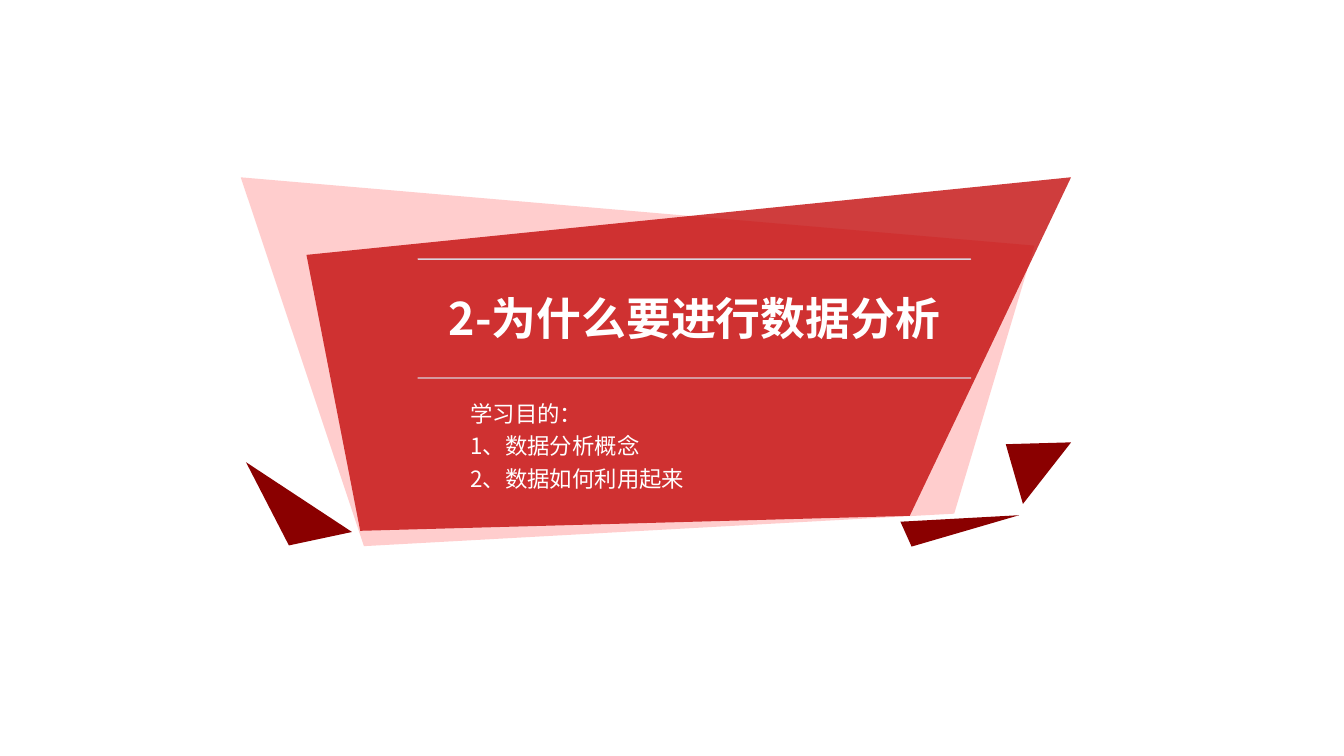
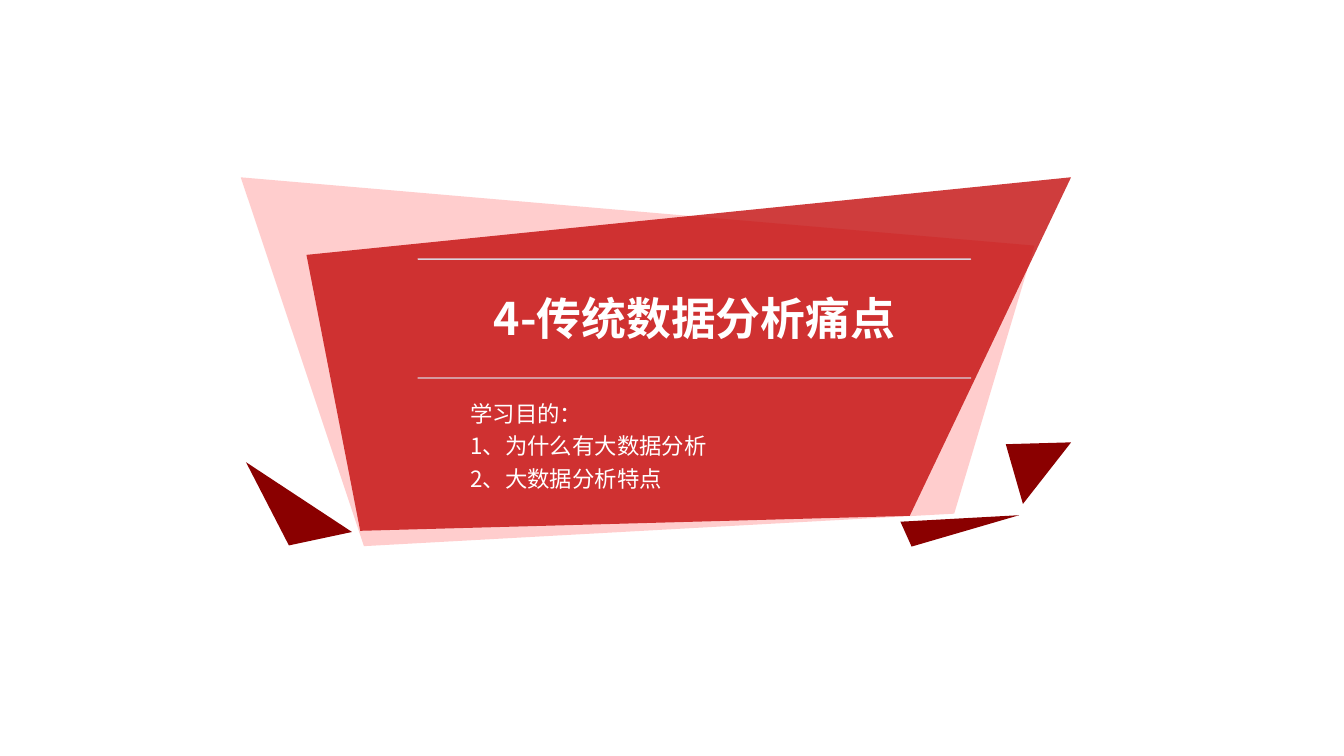
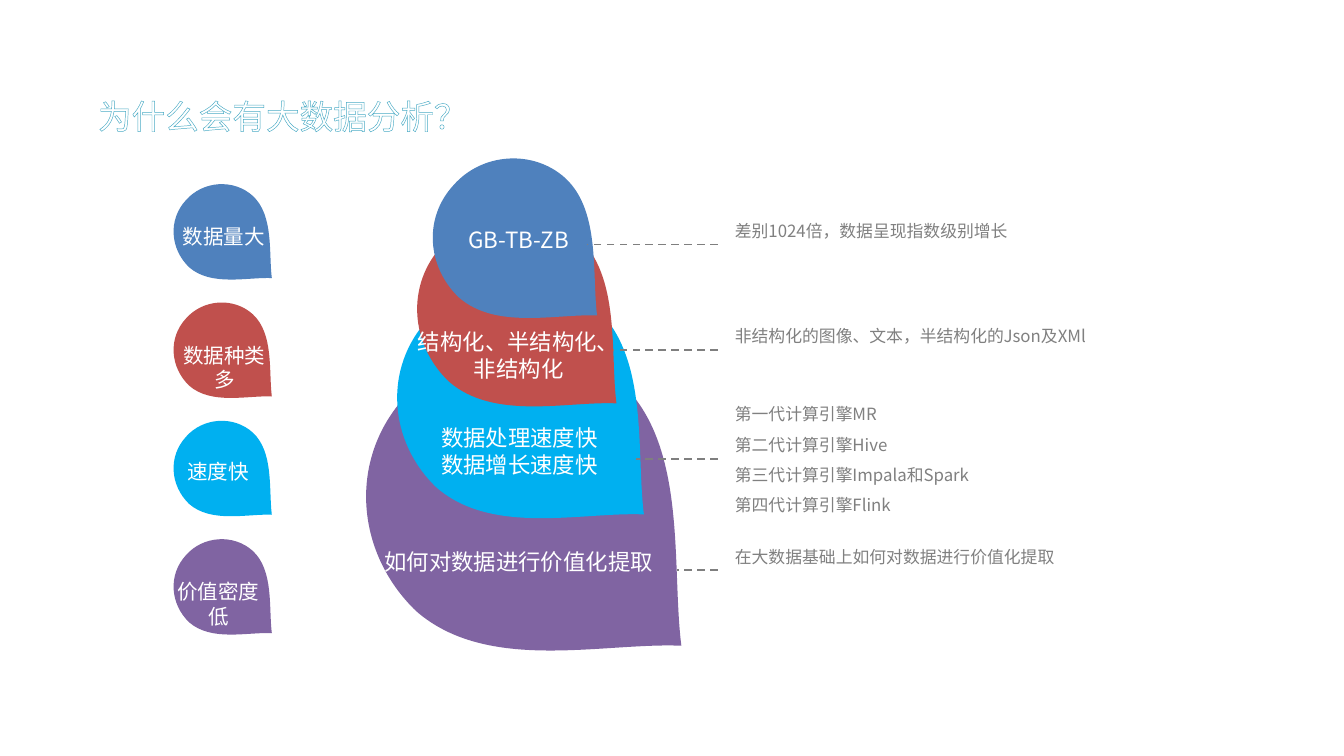
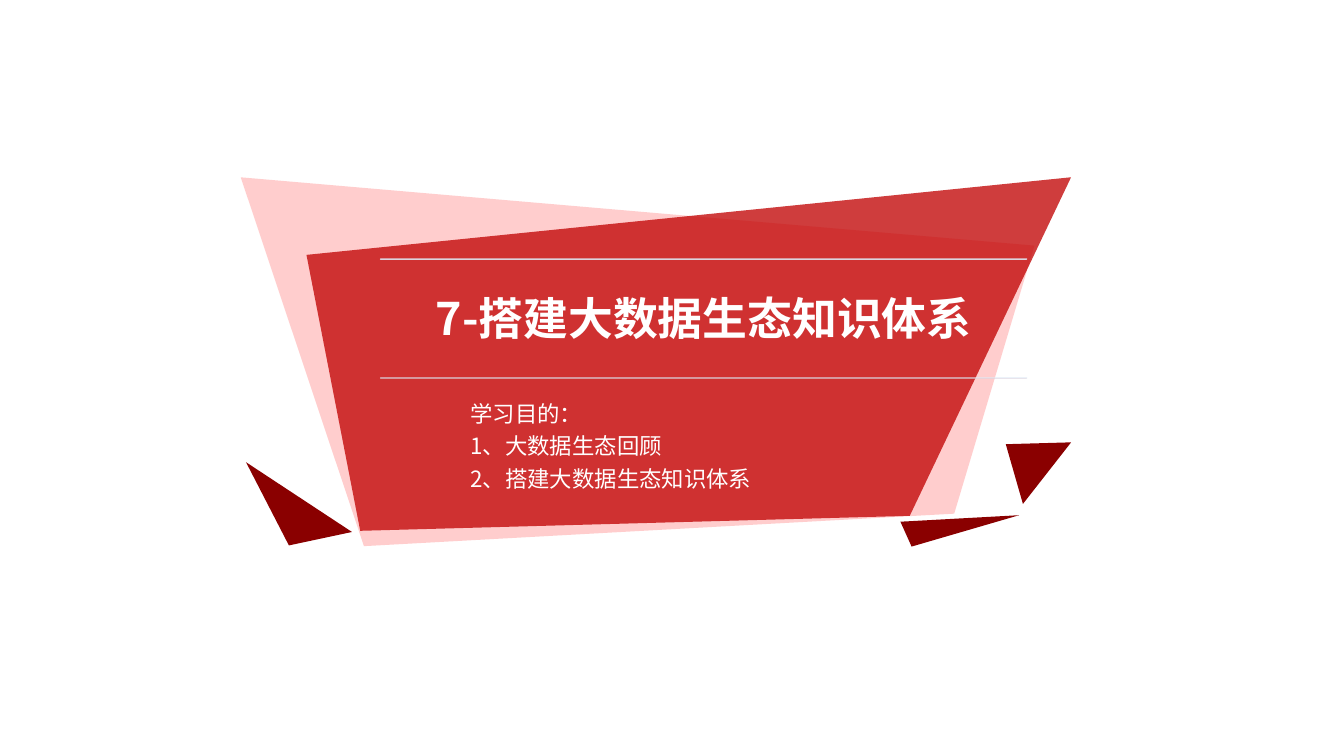
"""Build four slides on data analysis: three section covers and a diagram of big data traits."""
from dataclasses import dataclass

from lxml.etree import SubElement
from pptx import Presentation
from pptx.dml.color import RGBColor
from pptx.enum.dml import MSO_LINE
from pptx.enum.shapes import MSO_CONNECTOR
from pptx.enum.text import MSO_ANCHOR, MSO_AUTO_SIZE, PP_ALIGN
from pptx.oxml.ns import qn
from pptx.util import Pt


@dataclass(frozen=True)
class Theme:
    font: str = "Noto Sans CJK SC"
    title_font: str = "Calibri"
    white: str = "FFFFFF"
    shard: str = "8A0000"
    pink: str = "FFBEBE"
    red: str = "C00000"
    frame: str = "B80000"
    rule: str = "DEEBF7"
    outline: str = "4BACC6"
    note: str = "808080"
    dash: str = "7F7F7F"
    blue: str = "4F81BD"
    brick: str = "C0504D"
    cyan: str = "00B0F0"
    purple: str = "8064A2"
    section_size: float = 24
    title_size: float = 18
    body_size: float = 12
    badge_size: float = 11
    note_size: float = 9


theme = Theme()


def write(text, frame, size=theme.body_size, color=theme.white, font=theme.font,
          bold=False, align=PP_ALIGN.LEFT, spacing=1.0, wrap=True, grow=True):
    frame.word_wrap = wrap
    frame.auto_size = MSO_AUTO_SIZE.SHAPE_TO_FIT_TEXT if grow else MSO_AUTO_SIZE.NONE
    for index, line in enumerate(text.split("\n")):
        para = frame.add_paragraph() if index else frame.paragraphs[0]
        para.alignment = align
        para.line_spacing = spacing
        span = para.add_run()
        span.text = line
        span.font.size = Pt(size)
        span.font.bold = bold
        span.font.color.rgb = RGBColor.from_string(color)
        span.font.name = font
        SubElement(span.font._element, qn("a:ea"), typeface=theme.font)
    return span


def draw(page, *contours, color, opacity=100):
    paths = [[(Pt(x), Pt(y)) for x, y in contour] for contour in contours]
    builder = page.shapes.build_freeform(*paths[0][0])
    for index, path in enumerate(paths):
        if index:
            builder.move_to(*path[0])
        builder.add_line_segments(path[1:], close=True)
    shape = builder.convert_to_shape()
    shape.shadow.inherit = False
    shape.fill.solid()
    shape.fill.fore_color.rgb = RGBColor.from_string(color)
    if opacity < 100:
        tint = next(shape._element.iter(qn("a:srgbClr")))
        SubElement(tint, qn("a:alpha"), val=str(opacity * 1000))
    shape.line.fill.background()
    return shape


deck = Presentation()
deck.slide_width, deck.slide_height = Pt(720), Pt(405)
pages = [deck.slides.add_slide(deck.slide_layouts[6]) for _ in range(4)]

banner = [
    (theme.shard, 100, [(131.8, 247.6), (154.8, 292.2), (188.6, 285)]),
    (theme.pink, 76, [(129, 95), (554.2, 131.6), (511.2, 275.2), (195, 292.6)]),
    (theme.red, 76, [(164.2, 136.6), (573.8, 95), (487.4, 276.4), (193, 284.4)]),
    (theme.shard, 100, [(538.8, 238), (573.8, 237), (548, 270)]),
    (theme.shard, 100, [(482.4, 279.5), (546, 276), (488.4, 292.8)]),
]
sections = [
    (pages[0], "2-为什么要进行数据分析", 224, 520,
     "学习目的：\n1、数据分析概念\n2、数据如何利用起来"),
    (pages[1], "4-传统数据分析痛点", 224, 520,
     "学习目的：\n1、为什么有大数据分析\n2、大数据分析特点"),
    (pages[3], "7-搭建大数据生态知识体系", 203.8, 550,
     "学习目的：\n1、大数据生态回顾\n2、搭建大数据生态知识体系"),
]
rule_top, rule_bottom = 138.8, 202.5

for page, title, left, right, goals in sections:
    for color, opacity, corners in banner:
        draw(page, corners, color=color, opacity=opacity)

    rules = [[(left, y), (right, y)] for y in (rule_bottom, rule_top)]
    heading = draw(page, *rules, color=theme.frame)
    heading.line.color.rgb = RGBColor.from_string(theme.rule)
    heading.line.width = Pt(0.75)
    rule_color = next(heading.line._ln.iter(qn("a:srgbClr")))
    SubElement(rule_color, qn("a:alpha"), val="87000")
    frame = heading.text_frame
    frame.vertical_anchor = MSO_ANCHOR.MIDDLE
    frame.margin_left = frame.margin_right = 0
    frame.margin_top, frame.margin_bottom = Pt(5.6), Pt(2.8)
    write(title, frame, size=theme.section_size, bold=True,
          align=PP_ALIGN.CENTER, spacing=0.9, grow=False)

    box = page.shapes.add_textbox(Pt(252), Pt(208), Pt(201.6), Pt(54.8))
    box.text_frame.margin_left = 0
    write(goals, box.text_frame, spacing=1.2, grow=False)

page = pages[2]
box = page.shapes.add_textbox(Pt(45.4), Pt(47.6), Pt(580.4), Pt(29))
span = write("为什么会有大数据分析？", box.text_frame,
             size=theme.title_size, font=theme.title_font)
outline = SubElement(span.font._element, qn("a:ln"), w=str(Pt(0.8)))
outline_fill = SubElement(outline, qn("a:solidFill"))
SubElement(outline_fill, qn("a:srgbClr"), val=theme.outline)
span.font._element.insert(0, outline)

drop_controls = [
    (0.17, 0.2), (0, 0.38), (0.02, 0.65), (0.2, 0.82), (0.41, 1), (0.75, 0.91), (0.98, 0.92),
    (0.95, 0.69), (1, 0.34), (0.8, 0.16), (0.62, 0), (0.33, 0.02), (0.17, 0.2),
]
stack_drops = [
    (theme.purple, 186.5, 175, 182.2),
    (theme.cyan, 205.2, 141.8, 142.6),
    (theme.brick, 217.4, 108, 115.2),
    (theme.blue, 226.8, 79.9, 95),
]
badge_colors = [theme.blue, theme.brick, theme.cyan, theme.purple]
badge_drops = [(color, 90, 95.7 + 63.4 * row, 56.8) for row, color in enumerate(badge_colors)]

for color, left, top, width in stack_drops + badge_drops:
    height = width * 1.02
    drop = draw(page, [(left + x * width, top + y * height) for x, y in drop_controls], color=color)
    segments = list(drop._element.iter(qn("a:lnTo")))
    for first in range(0, len(segments), 3):
        curve = SubElement(segments[first].getparent(), qn("a:cubicBezTo"))
        segments[first].addprevious(curve)
        for segment in segments[first:first + 3]:
            curve.append(segment[0])
            segment.getparent().remove(segment)

stack_labels = [
    ("GB-TB-ZB", 242.6, 117.4, 70.6, 21.6),
    ("结构化、半结构化、\n非结构化", 216.7, 172.1, 122.4, 36),
    ("数据处理速度快\n数据增长速度快", 229, 223.9, 98.6, 36),
    ("如何对数据进行价值化提取", 198.7, 290.2, 158.4, 21.6),
]
for text, *place in stack_labels:
    box = page.shapes.add_textbox(*map(Pt, place))
    write(text, box.text_frame, align=PP_ALIGN.CENTER, wrap=False)

notes = [
    ("差别1024倍，数据呈现指数级别增长", 109.4, 23.8, 314.6, 131),
    ("非结构化的图像、文本，半结构化的Json及XMl", 165.6, 23.8, 328.3, 187.4),
    ("第一代计算引擎MR\n第二代计算引擎Hive\n第三代计算引擎Impala和Spark\n第四代计算引擎Flink",
     207.4, 72.7, 340.6, 246),
    ("在大数据基础上如何对数据进行价值化提取", 283.7, 23.8, 362.9, 305.3),
]
for text, top, height, line_end, line_y in notes:
    box = page.shapes.add_textbox(Pt(386.6), Pt(top), Pt(243.4), Pt(height))
    write(text, box.text_frame, size=theme.note_size, color=theme.note,
          align=PP_ALIGN.JUSTIFY, spacing=1.5)
    leader = page.shapes.add_connector(
        MSO_CONNECTOR.STRAIGHT, Pt(384.5), Pt(line_y), Pt(line_end), Pt(line_y))
    leader.line.color.rgb = RGBColor.from_string(theme.dash)
    leader.line.width = Pt(1)
    leader.line.dash_style = MSO_LINE.DASH
    SubElement(leader._element.spPr, qn("a:effectLst"))

badge_labels = [
    ("数据量大", 90.7, 116.6, 58.3, 20.2),
    ("数据种类多", 87.8, 180, 64.8, 33.8),
    ("速度快", 87.8, 242.6, 58.3, 20.2),
    ("价值密度低", 87.8, 306.7, 58.3, 33.8),
]
for text, *place in badge_labels:
    box = page.shapes.add_textbox(*map(Pt, place))
    write(text, box.text_frame, size=theme.badge_size, align=PP_ALIGN.CENTER)

deck.save("out.pptx")
